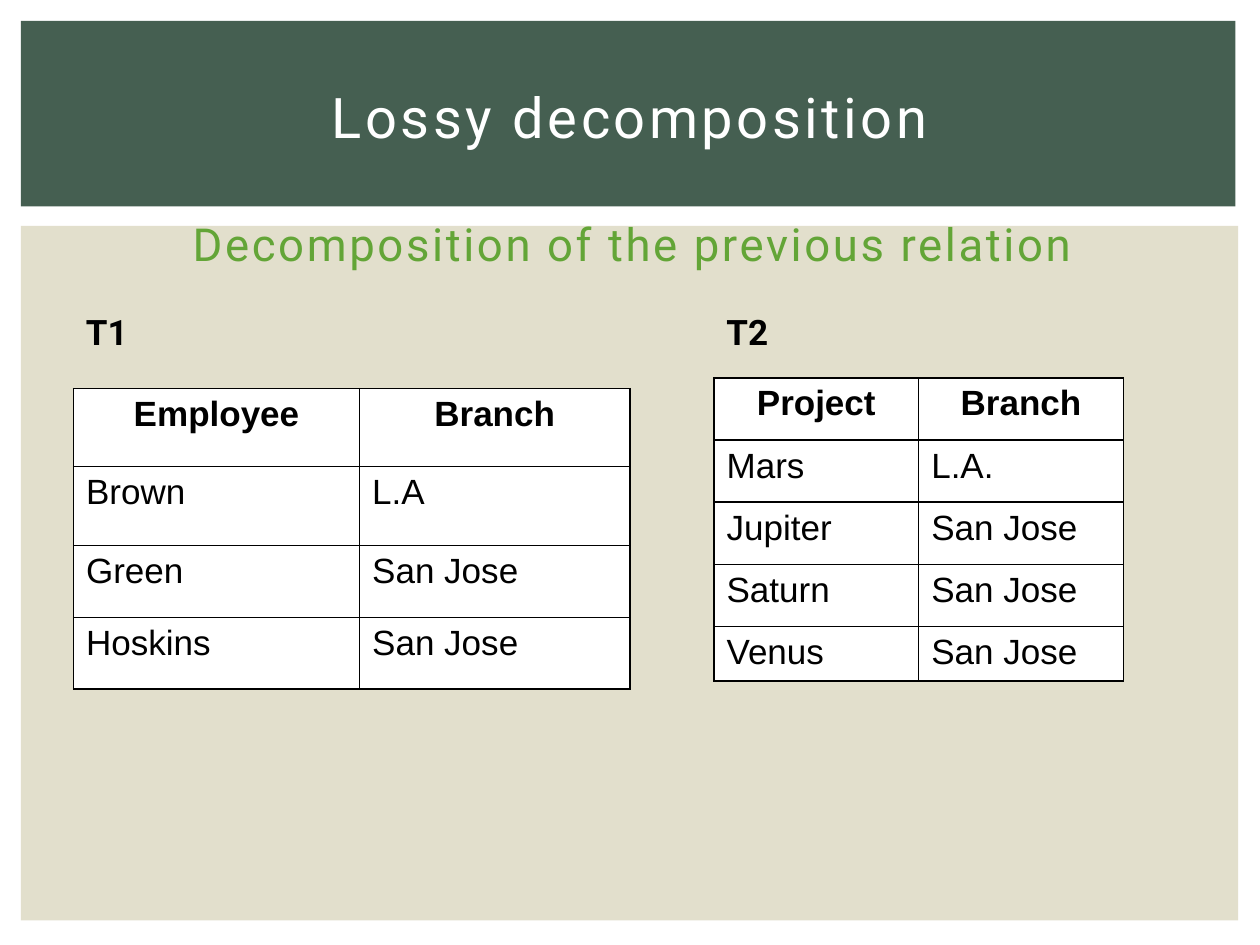
import dataclasses

import lxml.etree
import pptx
import pptx.dml.color
import pptx.enum.shapes
import pptx.enum.text
import pptx.oxml.ns
import pptx.util

Pt = pptx.util.Pt
ALIGN = pptx.enum.text.PP_ALIGN
ANCHOR = pptx.enum.text.MSO_ANCHOR


@dataclasses.dataclass(frozen=True)
class Theme:
    """Colours, fonts and type sizes of the slide."""
    band: str = "455F51"
    panel: str = "E2DFCC"
    accent: str = "63A537"
    light: str = "FFFFFF"
    dark: str = "000000"
    heading_font: str = "Roboto"
    table_font: str = "Arial"
    title_size: float = 32
    subtitle_size: float = 26
    body_size: float = 20
    rule: float = 1


THEME = Theme()


def rgb(value):
    """Turn a hex string into a colour."""
    return pptx.dml.color.RGBColor.from_string(value)


def write(tf, text, size=THEME.body_size, font=THEME.heading_font, color=THEME.dark,
          bold=False, align=ALIGN.LEFT, spacing=0, anchor=ANCHOR.TOP):
    """Write one formatted paragraph into a text frame."""
    tf.word_wrap = True
    tf.vertical_anchor = anchor
    p = tf.paragraphs[0]
    p.alignment = align
    p.space_before = Pt(0)
    r = p.add_run()
    r.text = text
    r.font.size, r.font.name, r.font.bold = Pt(size), font, bold
    r.font.color.rgb = rgb(color)
    if spacing:
        r._r.get_or_add_rPr().set("spc", str(int(spacing * 100)))


def add_band(s, box, color):
    """Place a plain rectangle behind everything else."""
    sp = s.shapes.add_shape(pptx.enum.shapes.MSO_SHAPE.RECTANGLE, *map(Pt, box))
    sp.shadow.inherit = False
    sp.fill.solid()
    sp.fill.fore_color.rgb = rgb(color)
    sp.line.fill.background()
    s.shapes.element.insert(2, sp.element)


def add_label(s, box, text, **fmt):
    """Add a text box with one formatted line."""
    write(s.shapes.add_textbox(*map(Pt, box)).text_frame, text, **fmt)


def add_header(s, box):
    """Place the title on its dark band."""
    left, top, width, height = box
    add_band(s, box, THEME.band)
    title = s.shapes.title
    title.left, title.top = Pt(left + 24), Pt(top + 9.5)
    title.width, title.height = Pt(width - 46), Pt(height - 16)
    write(title.text_frame, "Lossy decomposition", size=THEME.title_size,
          color=THEME.light, align=ALIGN.CENTER, spacing=2, anchor=ANCHOR.MIDDLE)


def border_cell(cell):
    """Draw a thin rule on all four sides of a cell."""
    tcPr = cell._tc.get_or_add_tcPr()
    qn = pptx.oxml.ns.qn
    for side in ("lnL", "lnR", "lnT", "lnB"):
        ln = lxml.etree.SubElement(tcPr, qn(f"a:{side}"), w=str(Pt(THEME.rule)))
        fill = lxml.etree.SubElement(ln, qn("a:solidFill"))
        lxml.etree.SubElement(fill, qn("a:srgbClr"), val=THEME.dark)


def add_relation(s, box, name, table_top, widths, heights, rows):
    """Place a relation's name and its table within the box."""
    left, top, width, height = box
    add_label(s, (left, top, 84, 31), name, bold=True)
    frame = s.shapes.add_table(len(rows), len(widths), Pt(left), Pt(top + table_top),
                               Pt(width), Pt(height - table_top))
    table = frame.table
    table.horz_banding = False
    for column, w in zip(table.columns, widths):
        column.width = Pt(w)
    for i, (row, h, values) in enumerate(zip(table.rows, heights, rows)):
        row.height = Pt(h)
        for cell, value in zip(row.cells, values):
            border_cell(cell)
            cell.fill.solid()
            cell.fill.fore_color.rgb = rgb(THEME.light)
            write(cell.text_frame, value, font=THEME.table_font, bold=i == 0,
                  align=ALIGN.LEFT if i else ALIGN.CENTER)


def add_body(s, box):
    """Place the subtitle and both relations on the light panel."""
    left, top, width, height = box
    add_band(s, box, THEME.panel)
    add_label(s, (left + 84, top - 9, 531, 54), "Decomposition of the previous relation",
              size=THEME.subtitle_size, color=THEME.accent, align=ALIGN.CENTER, spacing=1.5)
    add_relation(s, (left + 30, top + 45, 318, 220), "T1", 48, (163.5, 154.5),
                 (44.6, 45.1, 41.1, 41.1),
                 [("Employee", "Branch"), ("Brown", "L.A"),
                  ("Green", "San Jose"), ("Hoskins", "San Jose")])
    add_relation(s, (left + 396, top + 45, 234, 214), "T2", 42, (117, 117),
                 (35.5, 35.5, 35.5, 35.5, 30.2),
                 [("Project", "Branch"), ("Mars", "L.A."), ("Jupiter", "San Jose"),
                  ("Saturn", "San Jose"), ("Venus", "San Jose")])


def main():
    """Build and save the slide."""
    prs = pptx.Presentation()
    prs.slide_width, prs.slide_height = Pt(720), Pt(540)
    s = prs.slides.add_slide(prs.slide_layouts[5])
    add_header(s, (12, 12, 694, 106))
    add_body(s, (12, 129, 695.5, 397))
    prs.save("out.pptx")


if __name__ == "__main__":
    main()
